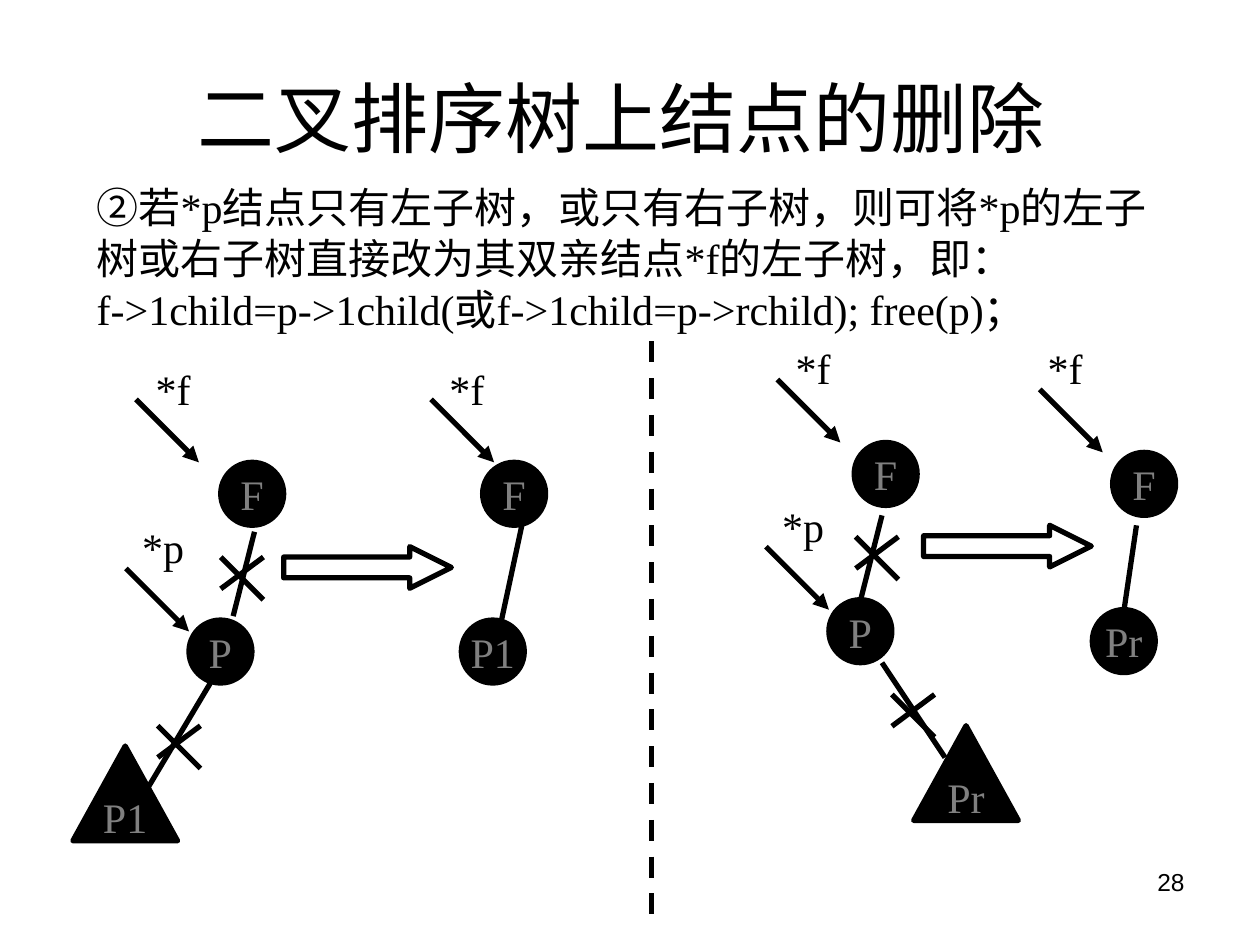
from lxml import etree
from pptx import Presentation
from pptx import util as u
from pptx.dml.color import RGBColor
from pptx.enum import dml, shapes, text
from pptx.oxml.ns import qn

COLORS = {"ink": "000000", "paper": "FFFFFF", "node_text": "808080"}
SERIF, SANS, CJK = "Times New Roman", "Arial", "Noto Sans CJK JP"
NODE, POINTER, STROKE = 1.27, 1.27, u.Pt(3)

LEFT_SCENE = {
    "nodes": [("F", 4.45, 9.32), ("P", 3.81, 12.5), ("F", 9.73, 9.32), ("P1", 9.3, 12.5)],
    "subtree": ("P1", 1.47, 15.04),
    "links": [(5.13, 10.72, 4.7, 12.42), (4.24, 13.77, 2.97, 15.9), (10.52, 10.59, 10.11, 12.5)],
    "pointers": [(2.74, 8.05), (2.54, 11.46), (8.69, 8.05)],
    "labels": [("*f", 2.54, 7.21), ("*p", 2.34, 10.39), ("*f", 8.46, 7.21)],
    "crosses": [(4.45, 11.23), (3.18, 14.63)],
    "arrow": (5.72, 11.02),
}
RIGHT_SCENE = {
    "nodes": [("F", 17.22, 8.92), ("P", 16.71, 12.09), ("F", 22.43, 9.12), ("Pr", 22.02, 12.29)],
    "subtree": ("Pr", 18.42, 14.63),
    "links": [(17.78, 10.39, 17.35, 12.09), (17.78, 13.36, 19.05, 15.27), (22.91, 10.59, 22.66, 12.29)],
    "pointers": [(15.67, 7.65), (15.44, 11.02), (20.96, 7.85)],
    "labels": [("*f", 15.44, 6.78), ("*p", 15.24, 9.96), ("*f", 20.52, 6.78)],
    "crosses": [(17.25, 10.82), (17.98, 14)],
    "arrow": (18.62, 10.59),
}


def color(name):
    return RGBColor.from_string(COLORS[name])


def add_run(paragraph, content, size=24, font=SERIF, tint="ink"):
    run = paragraph.add_run()
    run.text = content
    run.font.size = u.Pt(size)
    run.font.name = font
    run.font.color.rgb = color(tint)
    etree.SubElement(run.font._element, qn("a:ea"), typeface=CJK)


def add_text(container, lines, left, top, width, height, align=text.PP_ALIGN.CENTER,
             anchor=text.MSO_ANCHOR.TOP, spacing=None, **style):
    frame = container.add_textbox(u.Cm(left), u.Cm(top), u.Cm(width), u.Cm(height)).text_frame
    frame.word_wrap = True
    frame.vertical_anchor = anchor
    for index, line in enumerate(lines):
        paragraph = frame.add_paragraph() if index else frame.paragraphs[0]
        paragraph.alignment = align
        paragraph.line_spacing = spacing
        add_run(paragraph, line, **style)


def add_outlined(container, kind, left, top, width, height, fill="ink", label=None):
    shape = container.add_shape(kind, u.Cm(left), u.Cm(top), u.Cm(width), u.Cm(height))
    shape.shadow.inherit = False
    shape.fill.solid()
    shape.fill.fore_color.rgb = color(fill)
    shape.line.color.rgb = color("ink")
    shape.line.width = STROKE
    if label:
        frame = shape.text_frame
        frame.word_wrap = False
        frame.vertical_anchor = text.MSO_ANCHOR.MIDDLE
        frame.paragraphs[0].alignment = text.PP_ALIGN.CENTER
        add_run(frame.paragraphs[0], label, tint="node_text")
    return shape


def add_line(container, x1, y1, x2, y2, arrow=False, dashed=False):
    line = container.add_connector(
        shapes.MSO_CONNECTOR.STRAIGHT, u.Cm(x1), u.Cm(y1), u.Cm(x2), u.Cm(y2))
    line.line.color.rgb = color("ink")
    line.line.width = STROKE
    if dashed:
        line.line.dash_style = dml.MSO_LINE.DASH
    if arrow:
        etree.SubElement(line.line._get_or_add_ln(), qn("a:tailEnd"), type="triangle")
    etree.SubElement(line._element.spPr, qn("a:effectLst"))


def add_cross(container, left, top):
    add_line(container, left, top + 0.64, left + 0.86, top)
    add_line(container, left, top, left + 0.86, top + 0.86)


def add_scene(slide, scene):
    group = slide.shapes.add_group_shape().shapes
    for label, left, top in scene["nodes"]:
        add_outlined(group, shapes.MSO_SHAPE.OVAL, left, top, NODE, NODE, label=label)
    label, left, top = scene["subtree"]
    add_outlined(group, shapes.MSO_SHAPE.ISOSCELES_TRIANGLE, left, top, 2.11, 1.91, label=label)
    for link in scene["links"]:
        add_line(group, *link)
    for x, y in scene["pointers"]:
        add_line(group, x, y, x + POINTER, y + POINTER, arrow=True)
    for label, left, top in scene["labels"]:
        add_text(group, [label], left, top, 1.9, 1.27)
    for cross in scene["crosses"]:
        add_cross(group, *cross)
    arrow = add_outlined(group, shapes.MSO_SHAPE.RIGHT_ARROW, *scene["arrow"], 3.38, 0.84, fill="paper")
    arrow.adjustments[0] = 0.5
    arrow.adjustments[1] = 1


def main():
    presentation = Presentation()
    presentation.slide_width, presentation.slide_height = u.Cm(25.4), u.Cm(19.05)
    slide = presentation.slides.add_slide(presentation.slide_layouts[6])
    add_text(slide.shapes, ["28"], 18.2, 17.35, 5.93, 1.32,
             align=text.PP_ALIGN.RIGHT, size=14, font=SANS)
    add_text(slide.shapes, [
        "②若*p结点只有左子树，或只有右子树，则可将*p的左子树或右子树直接改为其双亲结点*f的左子树，即：",
        "f->1child=p->1child(或f->1child=p->rchild); free(p)；",
    ], 1.7, 3.53, 22.2, 3.3, align=text.PP_ALIGN.LEFT, spacing=u.Pt(29))
    add_scene(slide, LEFT_SCENE)
    add_scene(slide, RIGHT_SCENE)
    add_line(slide.shapes, 13.13, 6.88, 13.13, 18.52, dashed=True)
    add_text(slide.shapes, ["二叉排序树上结点的删除 "], 1.27, 0.76, 22.86, 3.18,
             anchor=text.MSO_ANCHOR.MIDDLE, size=44, font=CJK)
    presentation.save("out.pptx")


if __name__ == "__main__":
    main()
